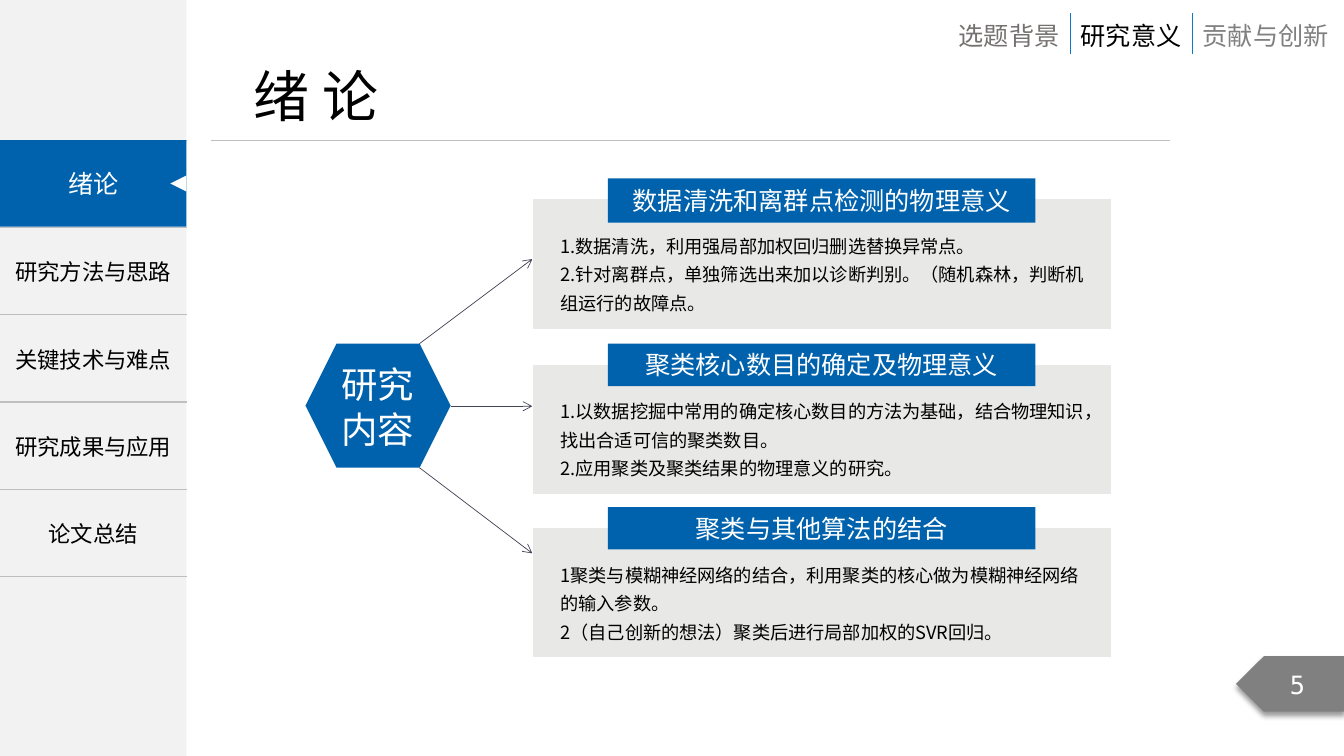
from pptx import Presentation
from pptx.dml.color import RGBColor as RGB
from pptx.enum.shapes import MSO_CONNECTOR as Conn, MSO_SHAPE as Geo
from pptx.enum.text import MSO_ANCHOR as Anchor, PP_ALIGN as Align
from pptx.oxml import parse_xml
from pptx.oxml.ns import nsdecls, qn
from pptx.util import Inches, Pt
from lxml.etree import SubElement as Sub

FONT = "Noto Sans CJK SC"
MONO = "DejaVu Sans Mono"
HEX = {"blue": "0062AC", "pale": "F2F2F2", "panel": "E8E8E6", "rule": "BFBFBF",
       "grey": "808080", "warm": "767171", "bar": "0D79CA", "arrow": "414455",
       "white": "FFFFFF", "black": "000000"}

TABS = ["研究方法与思路", "关键技术与难点", "研究成果与应用", "论文总结"]
NAV = [("选题背景", 9.41, 1.21, "warm"), ("研究意义", 10.62, 1.21, "black"),
       ("贡献与创新", 11.83, 1.46, "grey")]
TOPICS = [
    ("数据清洗和离群点检测的物理意义", 1.77, 0.44,
     ["1.数据清洗，利用强局部加权回归删选替换异常点。",
      "2.针对离群点，单独筛选出来加以诊断判别。（随机森林，判断机组运行的故障点。"]),
    ("聚类核心数目的确定及物理意义", 3.41, 0.42,
     ["1.以数据挖掘中常用的确定核心数目的方法为基础，结合物理知识，找出合适可信的聚类数目。",
      "2.应用聚类及聚类结果的物理意义的研究。"]),
    ("聚类与其他算法的结合", 5.03, 0.42,
     ["1聚类与模糊神经网络的结合，利用聚类的核心做为模糊神经网络的输入参数。",
      "2（自己创新的想法）聚类后进行局部加权的SVR回归。"]),
]
ARROWS = [(4.16, 3.41, 2.57), (4.47, 4.03, 4.03), (4.16, 4.64, 5.49)]


def color(name):
    return RGB.from_string(HEX[name])


def write(frame, lines, size, tint, align=Align.LEFT, font=FONT, pitch=None):
    """Fill a text frame, one paragraph per line; pitch is in points."""
    for i, line in enumerate(lines):
        para = frame.add_paragraph() if i else frame.paragraphs[0]
        para.alignment = align
        if pitch:
            para.line_spacing = Pt(pitch)
        run = para.add_run()
        run.text = line
        run.font.size = Pt(size)
        run.font.name = font
        run.font.color.rgb = color(tint)
        Sub(run.font._element, qn("a:ea")).set("typeface", font)


def inset(frame):
    frame.margin_left = frame.margin_right = Inches(0.08)
    frame.margin_top = frame.margin_bottom = Inches(0.04)


def block(slide, geo, box, fill, text=None, size=18, edge=None, **style):
    """A filled preset shape, with centred text if there is any."""
    shape = slide.shapes.add_shape(geo, *map(Inches, box))
    shape.shadow.inherit = False
    shape.fill.solid()
    shape.fill.fore_color.rgb = color(fill)
    if edge:
        shape.line.color.rgb = color(edge)
        shape.line.width = Pt(1)
    else:
        shape.line.fill.background()
    if text:
        frame = shape.text_frame
        inset(frame)
        frame.word_wrap = True
        frame.vertical_anchor = Anchor.MIDDLE
        write(frame, [text], size, "white", Align.CENTER, **style)
    return shape


def label(slide, box, text, size, tint, wrap=False):
    frame = slide.shapes.add_textbox(*map(Inches, box)).text_frame
    frame.word_wrap = wrap
    frame.vertical_anchor = Anchor.MIDDLE
    write(frame, [text], size, tint)


def line(slide, ends, tint, head=False):
    link = slide.shapes.add_connector(Conn.STRAIGHT, *map(Inches, ends))
    link.line.color.rgb = color(tint)
    link.line.width = Pt(0.5)
    if head:
        Sub(link.line._get_or_add_ln(), qn("a:tailEnd")).set("type", "arrow")
    Sub(link._element.spPr, qn("a:effectLst"))


def border(cell):
    """Grey rules above and below, none at the sides."""
    props = cell._tc.get_or_add_tcPr()
    for i, side in enumerate(["lnL", "lnR", "lnT", "lnB"]):
        paint = "<a:noFill/>" if i < 2 else (
            f'<a:solidFill><a:srgbClr val="{HEX["rule"]}"/></a:solidFill>')
        props.insert(i, parse_xml(
            f'<a:{side} {nsdecls("a")} w="12700">{paint}</a:{side}>'))


def menu(slide):
    block(slide, Geo.RECTANGLE, (0, 0, 1.85, 7.5), "pale")
    rows = len(TABS) + 1
    grid = slide.shapes.add_table(
        rows, 1, *map(Inches, (0, 1.39, 1.85, 4.33))).table
    grid.first_row = grid.horz_banding = False
    for i, text in enumerate([None] + TABS):
        cell = grid.cell(i, 0)
        cell.fill.background()
        cell.vertical_anchor = Anchor.MIDDLE
        border(cell)
        if text:
            write(cell.text_frame, [text], 16, "black", Align.CENTER)
    # Active tab
    block(slide, Geo.RECTANGLE, (0, 1.39, 1.85, 0.86), "blue", "绪论")
    mark = block(slide, Geo.ISOSCELES_TRIANGLE, (1.69, 1.74, 0.16, 0.16), "white")
    mark.rotation = 270


def page(slide):
    tag = block(slide, Geo.PENTAGON, (12.26, 6.51, 1.08, 0.55), "grey", "5",
                font=MONO)
    tag._element.spPr.find(qn("a:xfrm")).set("flipH", "1")
    glow = tag._element.spPr.find(qn("a:effectLst"))
    glow.append(parse_xml(
        f'<a:outerShdw {nsdecls("a")} blurRad="50800" dist="38100" dir="5400000">'
        f'<a:srgbClr val="{HEX["black"]}"><a:alpha val="40000"/></a:srgbClr>'
        '</a:outerShdw>'))


def topic(slide, title, top, high, lines):
    block(slide, Geo.RECTANGLE, (5.28, top + 0.2, 5.75, 1.3), "panel", edge="white")
    block(slide, Geo.RECTANGLE, (6.03, top, 4.24, high), "blue", title)
    box = slide.shapes.add_textbox(*map(Inches, (5.48, top + 0.46, 5.47, 0.93)))
    frame = box.text_frame
    inset(frame)
    frame.word_wrap = True
    write(frame, lines, 13, "black", pitch=20.3)


def main():
    deck = Presentation()
    deck.slide_width, deck.slide_height = Inches(13.33), Inches(7.5)
    slide = deck.slides.add_slide(deck.slide_layouts[6])

    # Frame: side menu, title, page number
    menu(slide)
    line(slide, (2.09, 1.39, 11.6, 1.39), "rule")
    label(slide, (2.42, 0.56, 1.6, 0.77), "绪 论", 40, "black", wrap=True)
    page(slide)

    # Section links, parted by bars
    for i, (text, left, wide, tint) in enumerate(NAV):
        label(slide, (left, 0.15, wide, 0.4), text, 18, tint)
        if i:
            line(slide, (left, 0.13, left, 0.54), "bar")

    # Hub, arrows and topics
    block(slide, Geo.HEXAGON, (3.03, 3.41, 1.44, 1.23), "blue", "研究内容", 26,
          pitch=32)
    for left, top, end in ARROWS:
        line(slide, (left, top, 5.28, end), "arrow", head=True)
    for item in TOPICS:
        topic(slide, *item)

    deck.save("out.pptx")


if __name__ == "__main__":
    main()
